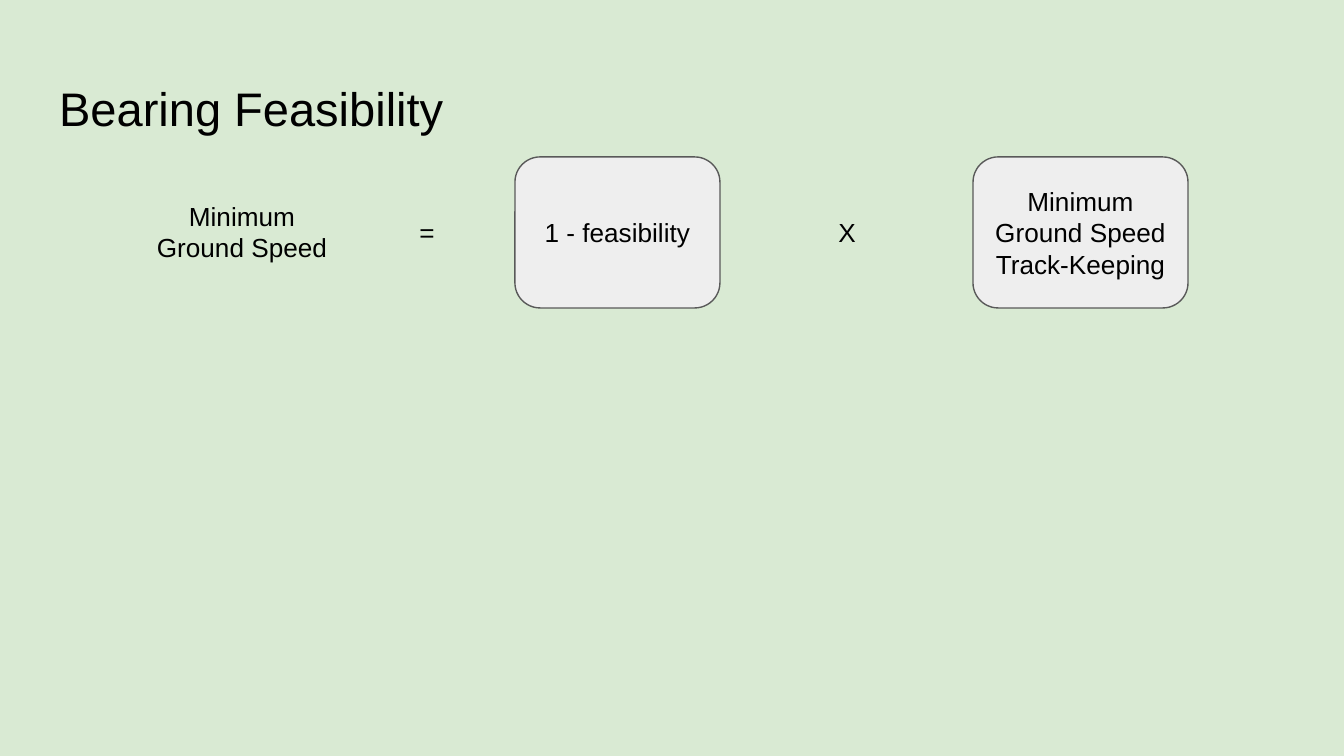
"""Build the Bearing Feasibility slide with its ground speed equation."""
import pptx
import pptx.dml.color
import pptx.enum.shapes
import pptx.enum.text
import pptx.util

PX = 914400 / 134.4
BLACK = pptx.dml.color.RGBColor(0x00, 0x00, 0x00)
GREEN = pptx.dml.color.RGBColor(0xD9, 0xEA, 0xD3)
LIGHT_GRAY = pptx.dml.color.RGBColor(0xEE, 0xEE, 0xEE)
DARK_GRAY = pptx.dml.color.RGBColor(0x59, 0x59, 0x59)
ALIGN = pptx.enum.text.PP_ALIGN
ANCHOR = pptx.enum.text.MSO_ANCHOR


def px(length):
    return pptx.util.Emu(round(length * PX))


def write(box, text, size=14, align=ALIGN.CENTER, anchor=ANCHOR.TOP):
    frame = box.text_frame
    frame.word_wrap = True
    frame.vertical_anchor = anchor
    frame.margin_left = frame.margin_right = pptx.util.Inches(0.1)
    frame.margin_top = frame.margin_bottom = pptx.util.Inches(0.1)
    for index, line in enumerate(text.split("\n")):
        para = frame.add_paragraph() if index else frame.paragraphs[0]
        para.alignment = align
        span = para.add_run()
        span.text = line
        span.font.name = "Arial"
        span.font.size = pptx.util.Pt(size)
        span.font.color.rgb = BLACK


deck = pptx.Presentation()
deck.slide_width, deck.slide_height = px(1344), px(756)
page = deck.slides.add_slide(deck.slide_layouts[6])
page.background.fill.solid()
page.background.fill.fore_color.rgb = GREEN

title = page.shapes.add_textbox(px(46), px(66), px(1253), px(85))
write(title, "Bearing Feasibility", size=25.2, align=ALIGN.LEFT)

factors = [
    (515, 205, "1 - feasibility"),
    (973, 215, "Minimum\nGround Speed\nTrack-Keeping"),
]
for left, width, text in factors:
    factor = page.shapes.add_shape(
        pptx.enum.shapes.MSO_SHAPE.ROUNDED_RECTANGLE,
        px(left), px(157), px(width), px(151))
    factor.shadow.inherit = False
    factor.fill.solid()
    factor.fill.fore_color.rgb = LIGHT_GRAY
    factor.line.color.rgb = DARK_GRAY
    factor.line.width = pptx.util.Pt(0.75)
    write(factor, text, anchor=ANCHOR.MIDDLE)

labels = [
    (140, 187, 90, "Minimum\nGround Speed"),
    (325, 203, 59, "="),
    (745, 203, 59, "X"),
]
for left, top, height, text in labels:
    label = page.shapes.add_textbox(px(left), px(top), px(204), px(height))
    write(label, text)
    label.text_frame.auto_size = pptx.enum.text.MSO_AUTO_SIZE.SHAPE_TO_FIT_TEXT

deck.save("out.pptx")
